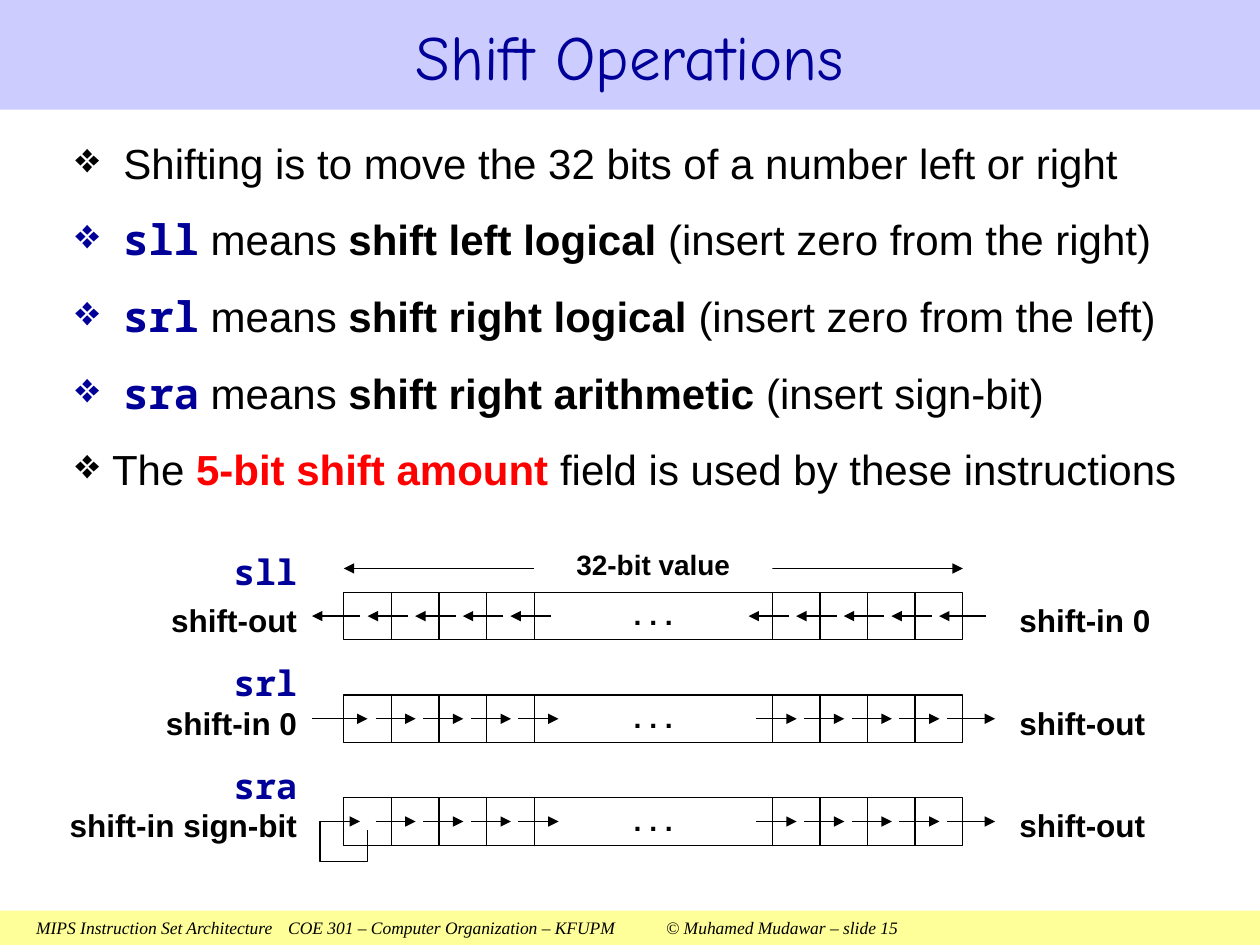
import dataclasses

import pptx
import pptx.dml.color
import pptx.enum.shapes
import pptx.enum.text
import pptx.oxml
import pptx.oxml.ns
import pptx.util

Cm = pptx.util.Cm
Pt = pptx.util.Pt
Align = pptx.enum.text.PP_ALIGN
Anchor = pptx.enum.text.MSO_ANCHOR
Kind = pptx.enum.shapes.MSO_SHAPE


@dataclasses.dataclass(frozen=True)
class Theme:
    """Colours, fonts and type sizes of the slide."""
    ink: str = "000000"
    navy: str = "000099"
    red: str = "FF0000"
    band: str = "CCCCFF"
    foot: str = "FFFF99"
    white: str = "FFFFFF"
    sans: str = "Arial"
    code: str = "Noto Sans Mono"
    head: str = "Comic Neue"
    serif: str = "Times New Roman"
    title: int = 36
    body: int = 24
    dots: int = 28
    op: int = 20
    label: int = 18
    span: int = 16
    note: int = 10
    rule: float = 0.75


T = Theme()
LEFT, CELL, ROW, STEP = 6.93, 0.96, 11.94, 2.07
BITS = [*range(4), *range(9, 13)]
MOVES = [*range(4), *range(8, 12)]
CODE = {"font": T.code, "color": T.navy, "bold": True}
BOLD = {"bold": True}
POINTS = [
    [("Shifting is to move the 32 bits of a number left or right", {})],
    [("sll", CODE), (" means ", {}), ("shift left logical", BOLD),
     (" (insert zero from the right)", {})],
    [("srl", CODE), (" means ", {}), ("shift right logical ", BOLD),
     ("(insert zero from the left)", {})],
    [("sra", CODE), (" means ", {}), ("shift right arithmetic", BOLD),
     (" (insert sign-bit)", {})],
    [("The ", {}), ("5-bit shift amount ", {"bold": True, "color": T.red}),
     ("field is used by these instructions", {})],
]


def tint(code):
    """Return the colour for a hex code."""
    return pptx.dml.color.RGBColor.from_string(code)


def make(tag, **attrs):
    """Return a drawing element with the given attributes."""
    item = pptx.oxml.parse_xml(f"<a:{tag} {pptx.oxml.ns.nsdecls('a')}/>")
    for name, value in attrs.items():
        item.set(name, value)
    return item


def write(par, text, size=T.body, font=T.sans, color=T.ink, bold=False,
          slant=False, lift=0, align=None, lead=None):
    """Add a formatted run to a paragraph."""
    run = par.add_run()
    run.text = text
    face = run.font
    face.size, face.name, face.bold, face.italic = Pt(size), font, bold, slant
    face.color.rgb = tint(color)
    if lift:
        face._element.set("baseline", str(lift * 1000))
    if align is not None:
        par.alignment = align
    if lead:
        par.line_spacing = lead


def box(shapes, x, y, wide, high, fill=None, line=None):
    """Add a plain rectangle."""
    rect = shapes.add_shape(Kind.RECTANGLE, Cm(x), Cm(y), Cm(wide), Cm(high))
    rect.shadow.inherit = False
    style(rect, fill, line)
    return rect


def style(shape, fill=None, line=None):
    """Set the fill and outline of a shape."""
    if fill:
        shape.fill.solid()
        shape.fill.fore_color.rgb = tint(fill)
    else:
        shape.fill.background()
    if line:
        shape.line.color.rgb = tint(line)
        shape.line.width = Pt(T.rule)
    else:
        shape.line.fill.background()


def label(shape, text, **form):
    """Write one vertically centred line into a shape."""
    frame = shape.text_frame
    frame.word_wrap = True
    frame.vertical_anchor = Anchor.MIDDLE
    frame.margin_left = frame.margin_right = 0
    write(frame.paragraphs[0], text, **form)


def tag(shapes, x, y, wide, high, text, **form):
    """Add a text box holding one label."""
    label(shapes.add_textbox(Cm(x), Cm(y), Cm(wide), Cm(high)), text, **form)


def tip(shape, *ends):
    """Put triangle arrowheads on the named line ends."""
    line = shape.element.spPr.find(pptx.oxml.ns.qn("a:ln"))
    for end in ends:
        line.append(make(end, type="triangle"))


def arrow(shapes, start, stop, y, *ends):
    """Draw a level arrow; start and stop count from the first bit."""
    line = shapes.add_connector(
        pptx.enum.shapes.MSO_CONNECTOR.STRAIGHT,
        Cm(LEFT + start), Cm(y), Cm(LEFT + stop), Cm(y))
    line.line.color.rgb = tint(T.ink)
    line.line.width = Pt(T.rule)
    tip(line, *(ends or ["tailEnd"]))
    line.element.spPr.append(make("effectLst"))


def word(shapes, y, op, rise, near, far):
    """Draw a 32-bit word with its name and end labels."""
    for bit in BITS:
        box(shapes, LEFT + bit * CELL, y, CELL, CELL, line=T.ink)
    gap = box(shapes, LEFT + 4 * CELL, y, 5 * CELL, CELL, line=T.ink)
    label(gap, ". . .", size=T.dots, bold=True, lift=20, align=Align.CENTER)
    form = {"size": T.label, "bold": True, "lead": 1.2}
    tag(shapes, 1.35, y, 4.64, CELL, near, align=Align.RIGHT, **form)
    tag(shapes, 20.55, y, 3.05, CELL, far, align=Align.LEFT, **form)
    tag(shapes, 4.06, y - rise, 1.93, 0.79, op, size=T.op,
        align=Align.RIGHT, **CODE)


def left(shapes, y):
    """Draw the arrows that move bits left."""
    arrow(shapes, 0.33, -0.64, y)
    for bit in MOVES:
        arrow(shapes, bit * CELL + 1.3, bit * CELL + 0.48, y)
    arrow(shapes, 12.95, 12 * CELL + 0.48, y)


def right(shapes, y):
    """Draw the arrows that move bits right."""
    for bit in MOVES:
        arrow(shapes, bit * CELL + 0.64, bit * CELL + 1.45, y)
    arrow(shapes, 12 * CELL + 0.64, 13.13, y)


def loop(shapes, y):
    """Draw the path that feeds the sign bit back in."""
    near, far, low = LEFT - 0.48, LEFT + 0.48, y + 0.81
    path = shapes.build_freeform(Cm(far), Cm(y + 0.18))
    path.add_line_segments(
        [(Cm(a), Cm(b)) for a, b in
         [(far, low), (near, low), (near, y), (LEFT + 0.33, y)]], close=False)
    bend = path.convert_to_shape()
    bend.shadow.inherit = False
    style(bend, line=T.ink)
    tip(bend, "tailEnd")


def points(shapes):
    """Write the bulleted list."""
    area = shapes.add_textbox(Cm(1.27), Cm(2.64), Cm(23.11), Cm(7.52))
    frame = area.text_frame
    frame.word_wrap = True
    for i, parts in enumerate(POINTS):
        par = frame.paragraphs[0] if i == 0 else frame.add_paragraph()
        last = i == len(POINTS) - 1
        par.space_before = Pt(15)
        props = par._p.get_or_add_pPr()
        props.set("marL", str(Cm(0.74 if last else 0.97)))
        props.set("indent", str(-Cm(0.97)))
        props.append(make("buChar", char="❖"))
        for text, form in parts:
            write(par, text, **form)


def head(slide):
    """Place and format the title and the footer band."""
    foot = box(slide.shapes, 0, 18.36, 25.4, 0.69, fill=T.foot)
    par = foot.text_frame.paragraphs[0]
    par._p.get_or_add_pPr().set("marL", str(Cm(0.48)))
    write(par, "MIPS Instruction Set Architecture\tCOE 301 – Computer "
          "Organization – KFUPM\t© Muhamed Mudawar – slide 15",
          size=T.note, font=T.serif, slant=True, align=Align.LEFT)
    title = slide.shapes.title
    title.left, title.top, title.width, title.height = 0, 0, Cm(25.4), Cm(2.21)
    style(title, T.band)
    label(title, "Shift Operations", size=T.title, font=T.head,
          color=T.navy, align=Align.CENTER)


def main():
    """Build and save the slide."""
    deck = pptx.Presentation()
    deck.slide_width, deck.slide_height = Cm(25.4), Cm(19.05)
    slide = deck.slides.add_slide(deck.slide_layouts[5])
    head(slide)
    points(slide.shapes)
    sll, srl, sra = [slide.shapes.add_group_shape().shapes for _ in range(3)]
    tops = [ROW + i * STEP for i in range(3)]
    mids = [top + CELL / 2 for top in tops]
    word(sll, tops[0], "sll", 0.81, "shift-out", "shift-in 0")
    left(sll, mids[0])
    arrow(sll, 0, 13 * CELL, 11.46, "headEnd", "tailEnd")
    span = box(sll, LEFT + 4 * CELL, 10.97, 5 * CELL, 0.81, fill=T.white)
    label(span, "32-bit value", size=T.span, bold=True, align=Align.CENTER)
    word(srl, tops[1], "srl", 0.64, "shift-in 0", "shift-out")
    arrow(srl, -0.64, 0.48, mids[1])
    right(srl, mids[1])
    word(sra, tops[2], "sra", 0.64, "shift-in sign-bit", "shift-out")
    right(sra, mids[2])
    loop(sra, mids[2])
    deck.save("out.pptx")


if __name__ == "__main__":
    main()
